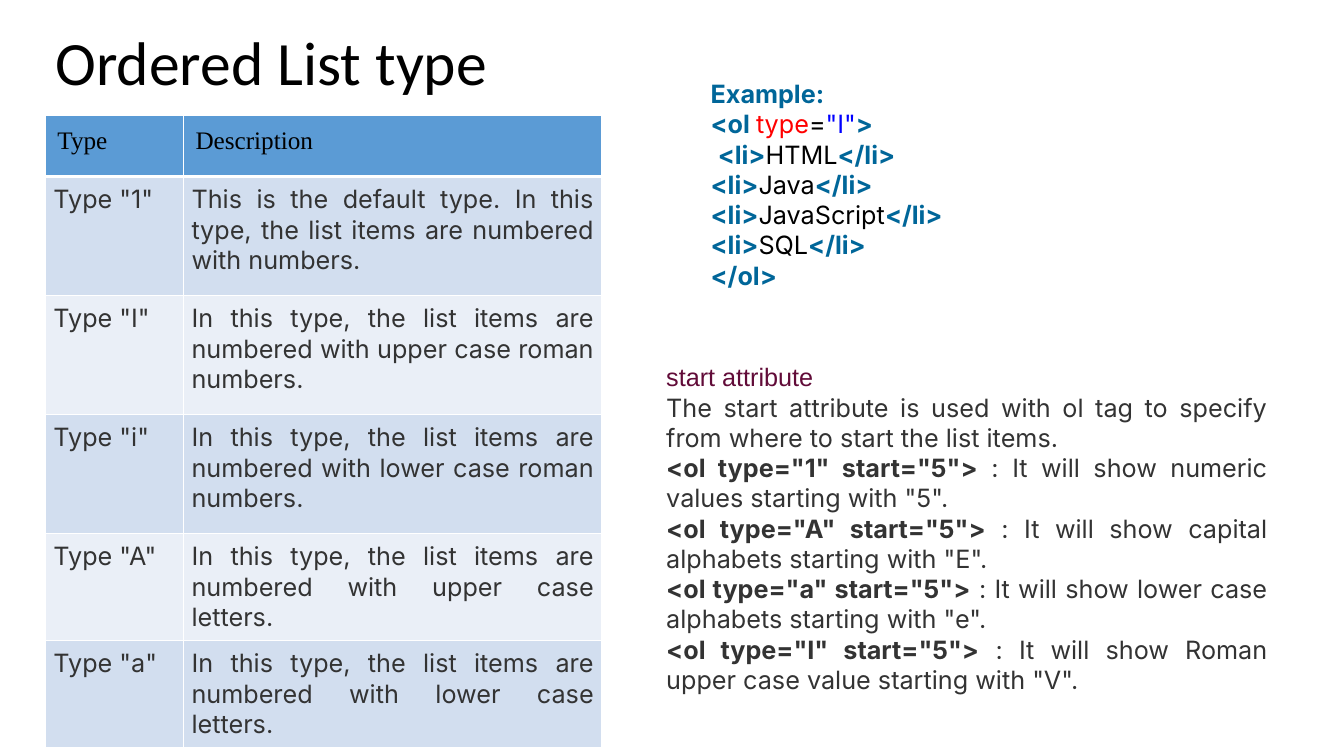
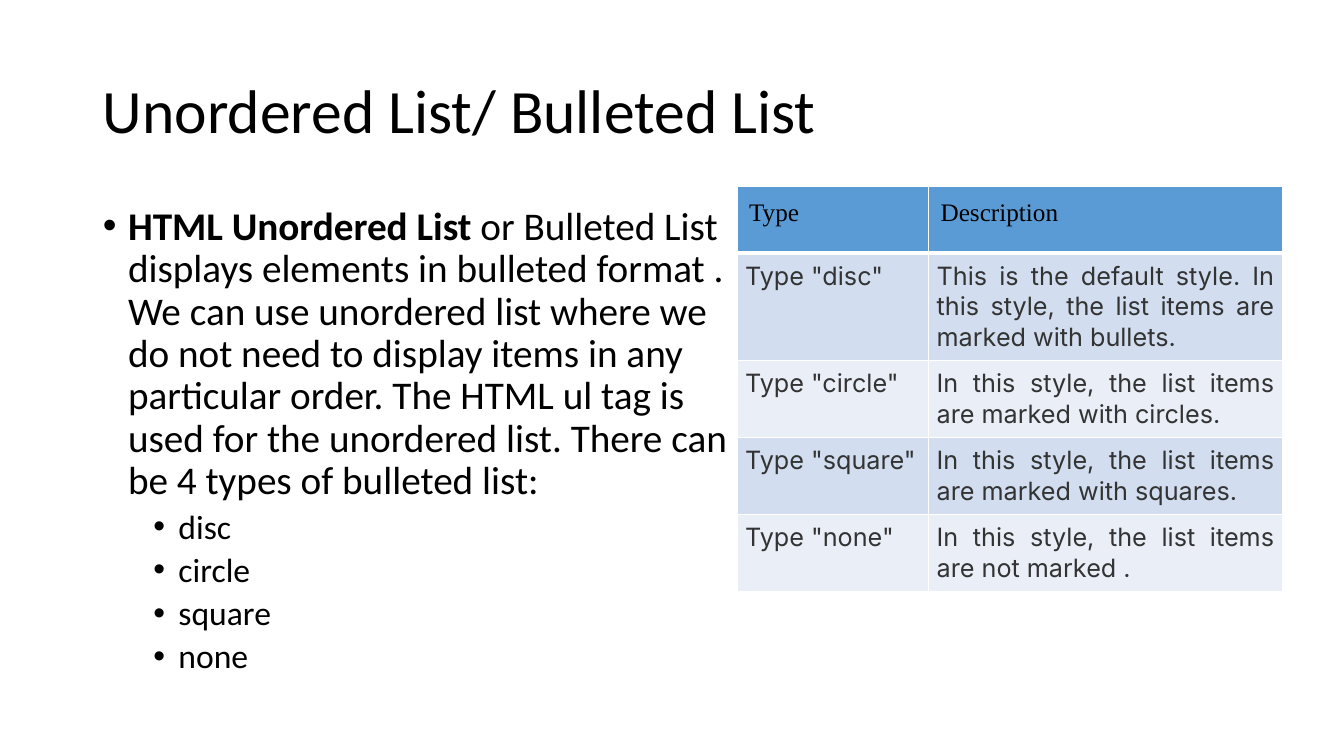
from dataclasses import dataclass

import pptx
import pptx.dml.color
import pptx.enum.text
import pptx.oxml
import pptx.oxml.ns
import pptx.util
from pptx.util import Inches

ALIGN = pptx.enum.text.PP_ALIGN
ANCHOR = pptx.enum.text.MSO_ANCHOR
AUTO_SIZE = pptx.enum.text.MSO_AUTO_SIZE

TITLE_FONT = "Calibri"
TEXT_FONT = "Inter"
TABLE_HEAD_FONT = "Times New Roman"
BLACK, WHITE, GRAY = "000000", "FFFFFF", "333333"
TAG_BLUE, ATTRIBUTE_RED, VALUE_BLUE = "006699", "FF0000", "0000FF"
HEADING_PLUM = "610B38"
HEAD_FILL = "5B9BD5"
BAND_FILLS = ("D2DEEF", "EAEFF7")
TEXT_SIZE = 18
TITLE_ONLY, TITLE_AND_BODY = 5, 1


@dataclass(frozen=True)
class Area:
    left: float
    top: float
    width: float
    height: float

    def lengths(self) -> list:
        return [Inches(n) for n in (self.left, self.top, self.width, self.height)]


@dataclass(frozen=True)
class Span:
    text: str
    color: str | None = None
    bold: bool | None = None


@dataclass(frozen=True)
class Para:
    spans: tuple[Span, ...]
    color: str = GRAY
    font: str = TEXT_FONT


@dataclass(frozen=True)
class TypeTable:
    area: Area
    column_widths: tuple[float, ...]
    row_heights: tuple[float, ...]
    rows: tuple[tuple[str, str], ...]


def tag(text: str) -> Span:
    return Span(text, TAG_BLUE, True)


def list_item(name: str, lead: str = "") -> Para:
    return Para((Span(lead), tag("<li>"), Span(name), tag("</li>")), BLACK)


def start_rule(kind: str, effect: str) -> Para:
    return Para((Span(f'<ol type="{kind}" start="5">', bold=True),
                 Span(f" : It will show {effect}.")))


ORDERED_TABLE = TypeTable(
    Area(0.45, 1.14, 5.52, 5.83),
    (1.37, 4.15),
    (0.61, 1.18, 1.18, 1.18, 0.85, 0.85),
    (
        ("1", "This is the default type. In this type, the list items are numbered with numbers."),
        *((kind, f"In this type, the list items are numbered with {style}.")
          for kind, style in (
              ("I", "upper case roman numbers"),
              ("i", "lower case roman numbers"),
              ("A", "upper case letters"),
              ("a", "lower case letters"))),
    ),
)

UNORDERED_TABLE = TypeTable(
    Area(7.31, 1.85, 5.41, 3.83),
    (1.9, 3.51),
    (0.66, 0.98, 0.76, 0.76, 0.67),
    (
        ("disc", "This is the default style. In this style, the list items are marked with bullets."),
        *((kind, f"In this style, the list items are {style}.")
          for kind, style in (
              ("circle", "marked with circles"),
              ("square", "marked with squares"),
              ("none", "not marked "))),
    ),
)

EXAMPLE = (
    Para((tag("Example:"),)),
    Para((tag("<ol "), Span("type", ATTRIBUTE_RED), Span("=", BLACK),
          Span('"I"', VALUE_BLUE), tag(">"))),
    list_item("HTML", " "),
    *(list_item(name) for name in ("Java", "JavaScript", "SQL")),
    Para((tag("</ol>"),)),
)

START_ATTRIBUTE = (
    Para((Span("start attribute"),), HEADING_PLUM, "Arial"),
    Para((Span("The start attribute is used with ol tag to specify "
               "from where to start the list items."),)),
    start_rule("1", 'numeric values starting with "5"'),
    start_rule("A", 'capital alphabets starting with "E"'),
    start_rule("a", 'lower case alphabets starting with "e"'),
    start_rule("I", 'Roman upper case value starting with "V"'),
)

UNORDERED_INTRO = (
    Span("HTML Unordered List", bold=True),
    Span(" or Bulleted List displays elements in bulleted format . We can use "
         "unordered list where we do not need to display items in any particular "
         "order. The HTML ul tag is used for the unordered list. There can be 4 "
         "types of bulleted list:"),
)


def rgb(color: str) -> pptx.dml.color.RGBColor:
    return pptx.dml.color.RGBColor.from_string(color)


def style_font(font, name: str, size: float, color: str) -> None:
    font.name = name
    font.size = pptx.util.Pt(size)
    font.color.rgb = rgb(color)


def add_spans(paragraph, spans: tuple[Span, ...]) -> None:
    for span in spans:
        run = paragraph.add_run()
        run.text = span.text
        if span.bold is not None:
            run.font.bold = span.bold
        if span.color:
            run.font.color.rgb = rgb(span.color)


def next_paragraph(frame, index: int):
    return frame.add_paragraph() if index else frame.paragraphs[0]


def place(shape, area: Area) -> None:
    shape.left, shape.top, shape.width, shape.height = area.lengths()


def add_titled_slide(deck, layout: int, title: str, area: Area):
    slide = deck.slides.add_slide(deck.slide_layouts[layout])
    place(slide.shapes.title, area)
    frame = slide.shapes.title.text_frame
    frame.auto_size = AUTO_SIZE.NONE
    frame.vertical_anchor = ANCHOR.MIDDLE
    frame.text = title
    paragraph = frame.paragraphs[0]
    paragraph.alignment = ALIGN.LEFT
    paragraph.line_spacing = 0.9
    style_font(paragraph.font, TITLE_FONT, 44, BLACK)
    return slide


def add_text_box(slide, area: Area, paras: tuple[Para, ...]) -> None:
    frame = slide.shapes.add_textbox(*area.lengths()).text_frame
    frame.word_wrap = True
    frame.auto_size = AUTO_SIZE.SHAPE_TO_FIT_TEXT
    for index, para in enumerate(paras):
        paragraph = next_paragraph(frame, index)
        paragraph.alignment = ALIGN.JUSTIFY
        style_font(paragraph.font, para.font, TEXT_SIZE, para.color)
        add_spans(paragraph, para.spans)


def set_borders(cell, bottom: float) -> None:
    """Give the cell white borders; call before filling, as the lines come first."""
    properties = cell._tc.get_or_add_tcPr()
    for side, points in (("L", 1), ("R", 1), ("T", 1), ("B", bottom)):
        properties.append(pptx.oxml.parse_xml(
            f'<a:ln{side} {pptx.oxml.ns.nsdecls("a")} w="{pptx.util.Pt(points)}">'
            f'<a:solidFill><a:srgbClr val="{WHITE}"/></a:solidFill></a:ln{side}>'))


def fill_cell(cell, text: str, row: int) -> None:
    is_head = row == 0
    set_borders(cell, 3 if is_head else 1)
    cell.fill.solid()
    cell.fill.fore_color.rgb = rgb(HEAD_FILL if is_head else BAND_FILLS[(row - 1) % 2])
    inset = Inches(0.12 if is_head else 0.08)
    cell.margin_left = cell.margin_right = inset
    cell.margin_top = cell.margin_bottom = inset
    cell.text = text
    paragraph = cell.text_frame.paragraphs[0]
    paragraph.alignment = ALIGN.LEFT if is_head else ALIGN.JUSTIFY
    font, color = (TABLE_HEAD_FONT, BLACK) if is_head else (TEXT_FONT, GRAY)
    style_font(paragraph.font, font, TEXT_SIZE, color)


def add_type_table(slide, content: TypeTable) -> None:
    rows = [("Type", "Description")]
    rows += [(f'Type "{kind}"', description) for kind, description in content.rows]
    table = slide.shapes.add_table(
        len(rows), len(content.column_widths), *content.area.lengths()).table
    table.first_row = False
    table.horz_banding = False
    for column, width in zip(table.columns, content.column_widths):
        column.width = Inches(width)
    for row, height in zip(table.rows, content.row_heights):
        row.height = Inches(height)
    for row_index, texts in enumerate(rows):
        for column_index, text in enumerate(texts):
            fill_cell(table.cell(row_index, column_index), text, row_index)


def set_bullet(paragraph, margin: float) -> None:
    properties = paragraph._p.get_or_add_pPr()
    properties.set("marL", str(Inches(margin)))
    properties.set("indent", str(Inches(-0.25)))
    for element in ('buFont {} typeface="Arial"', 'buChar {} char="•"'):
        properties.append(pptx.oxml.parse_xml(
            f'<a:{element.format(pptx.oxml.ns.nsdecls("a"))}/>'))


def fill_bulleted_body(body, area: Area, intro: tuple[Span, ...], items: list[str]) -> None:
    place(body, area)
    frame = body.text_frame
    frame.auto_size = AUTO_SIZE.NONE
    for index, spans in enumerate([intro, *((Span(item),) for item in items)]):
        level = min(index, 1)
        paragraph = next_paragraph(frame, index)
        paragraph.level = level
        set_bullet(paragraph, (0.25, 0.75)[level])
        paragraph.line_spacing = 0.9
        paragraph.space_before = pptx.util.Pt((10, 5)[level])
        style_font(paragraph.font, TITLE_FONT, (28, 24)[level], BLACK)
        add_spans(paragraph, spans)


def add_ordered_list_slide(deck) -> None:
    slide = add_titled_slide(deck, TITLE_ONLY, "Ordered List type", Area(0.45, 0.15, 11.5, 1))
    add_type_table(slide, ORDERED_TABLE)
    add_text_box(slide, Area(6.95, 0.73, 4.02, 2.22), EXAMPLE)
    add_text_box(slide, Area(6.51, 3.54, 6.16, 3.43), START_ATTRIBUTE)


def add_unordered_list_slide(deck) -> None:
    slide = add_titled_slide(deck, TITLE_AND_BODY, "Unordered List/ Bulleted List",
                             Area(0.92, 0.4, 11.5, 1.45))
    fill_bulleted_body(slide.placeholders[1], Area(0.92, 2, 6.51, 4.76), UNORDERED_INTRO,
                       [kind for kind, _ in UNORDERED_TABLE.rows])
    add_type_table(slide, UNORDERED_TABLE)


def main() -> None:
    deck = pptx.Presentation()
    deck.slide_width, deck.slide_height = Inches(13.33), Inches(7.5)
    add_ordered_list_slide(deck)
    add_unordered_list_slide(deck)
    deck.save("out.pptx")


if __name__ == "__main__":
    main()
